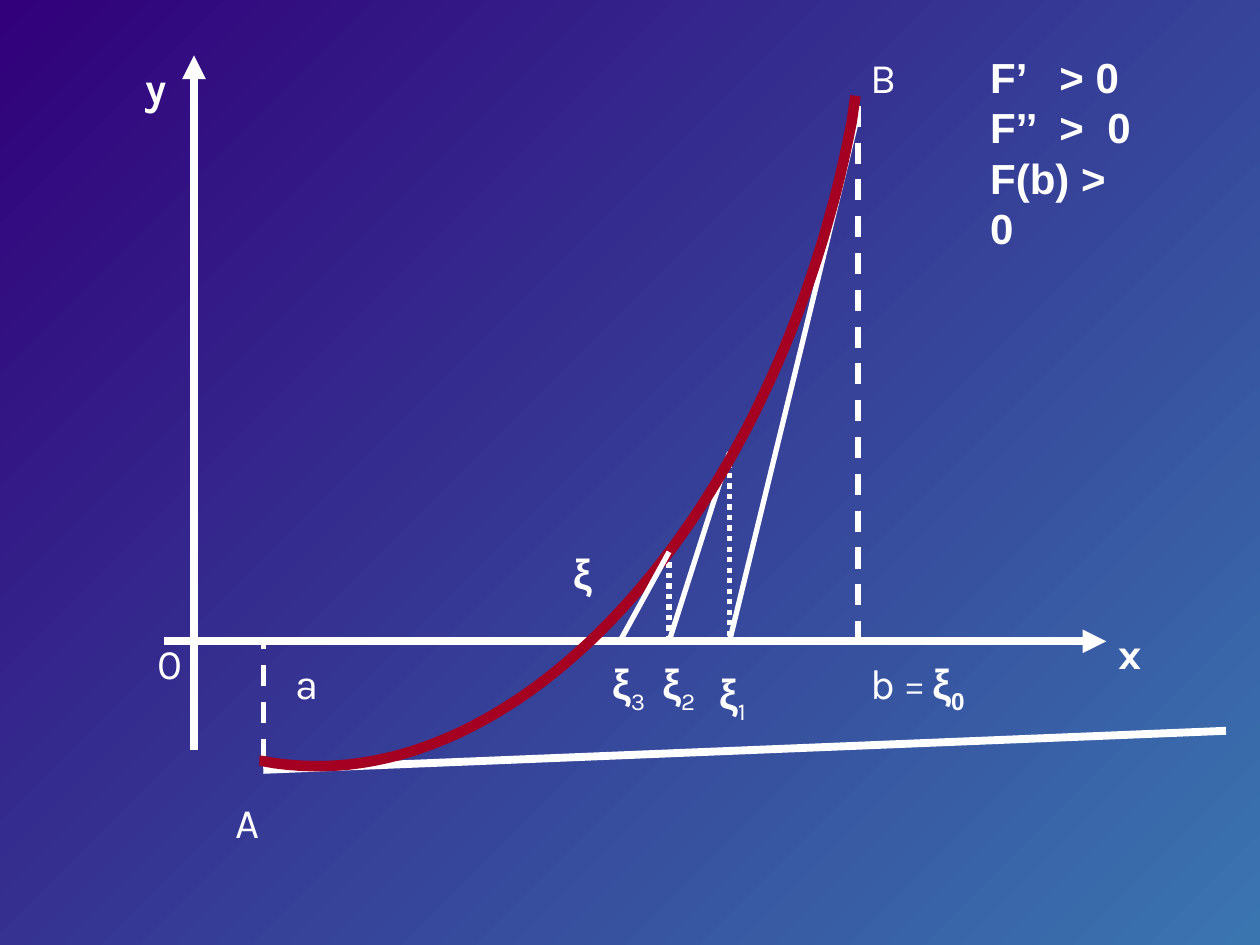
from typing import NamedTuple, Optional

from lxml.etree import SubElement
from pptx import Presentation
from pptx.dml.color import RGBColor
from pptx.enum.dml import MSO_LINE
from pptx.enum.shapes import MSO_CONNECTOR
from pptx.enum.text import MSO_AUTO_SIZE
from pptx.oxml.ns import qn
from pptx.util import Inches, Pt

WHITE = RGBColor(0xFF, 0xFF, 0xFF)
RED = RGBColor(0xA5, 0x00, 0x21)
VIOLET = RGBColor(0x31, 0x00, 0x7A)
BLUE = RGBColor(0x3A, 0x75, 0xB0)

AXIS_Y = 5.09
A_X, B_X = 2.09, 6.81
XI_1, XI_2, XI_3 = 5.79, 5.31, 4.92
LABEL_TOP = 5.17


class Line(NamedTuple):
    start: tuple[float, float]
    end: tuple[float, float]
    width: float = 3
    dash: Optional[MSO_LINE] = None
    arrow: bool = False


class Run(NamedTuple):
    text: str
    font: str = "Karla"
    size: float = 24
    bold: bool = False
    subscript: bool = False


class Label(NamedTuple):
    left: float
    top: float
    width: float
    height: float
    paragraphs: list[list[Run]]
    wrap: bool = False
    tab_stops: tuple[float, ...] = ()


XI = Run("ξ", "Arial", bold=True)

LINES_BEHIND_CURVE = [
    Line((9.73, 5.8), (A_X, 6.11), 4.5),
    Line((XI_1, 3.59), (XI_2, AXIS_Y)),
    Line((B_X, 0.91), (XI_1, AXIS_Y)),
    Line((A_X, 6.03), (A_X, AXIS_Y), dash=MSO_LINE.DASH),
    Line((XI_2, 4.38), (XI_2, AXIS_Y), dash=MSO_LINE.ROUND_DOT),
    Line((XI_1, 3.67), (XI_1, AXIS_Y), dash=MSO_LINE.ROUND_DOT),
    Line((B_X, 0.84), (B_X, AXIS_Y), dash=MSO_LINE.DASH),
    Line((1.54, 5.95), (1.54, 0.44), 4.5, arrow=True),
    Line((1.3, AXIS_Y), (8.78, AXIS_Y), 4.5, arrow=True),
]
LAST_TANGENT = Line((XI_2, 4.38), (XI_3, AXIS_Y))

CURVE_CONTROLS = [(2.08, 6.04), (4.05, 6.42), (6.15, 4.15), (6.76, 0.97)]
CURVE_START, CURVE_END = (2.06, 6.04), (6.79, 0.76)

CONDITIONS = ["F’\t> 0", "F’’\t>\t0", "F(b) > 0"]

LABELS = [
    Label(1.06, 0.44, 0.63, 0.5, [[Run("y", bold=True)]], wrap=True),
    Label(8.78, 4.93, 0.63, 0.5, [[Run("x", bold=True)]], wrap=True),
    Label(1.15, 5.01, 0.39, 0.5, [[Run("0")]]),
    Label(2.25, LABEL_TOP, 0.38, 0.5, [[Run("a")]]),
    Label(B_X, LABEL_TOP, 1.02, 0.56,
          [[Run("b "), Run("= ", "Arial", 18), XI,
            Run("0", "Arial", bold=True, subscript=True)]], wrap=True),
    *(Label(left, top, 0.54, 0.56, [[XI, Run(index, subscript=True)]])
      for index, left, top in [("1", 5.61, 5.25), ("2", 5.16, LABEL_TOP),
                               ("3", 4.76, LABEL_TOP)]),
    Label(1.77, 6.27, 0.47, 0.5, [[Run("A")]], wrap=True),
    Label(B_X, 0.36, 0.47, 0.5, [[Run("B")]], wrap=True),
    Label(7.76, 0.36, 1.39, 1.3,
          [[Run(condition, "Arial", bold=True)] for condition in CONDITIONS],
          tab_stops=(0.55, 0.93)),
    Label(4.45, 4.3, 0.43, 0.5, [[XI]]),
]


def paint_background(slide) -> None:
    fill = slide.background.fill
    fill.gradient()
    fill.gradient_angle = 315
    for stop, color, position in zip(fill.gradient_stops, (VIOLET, BLUE), (0, 1)):
        stop.color.rgb = color
        stop.position = position


def draw_line(slide, line: Line) -> None:
    connector = slide.shapes.add_connector(
        MSO_CONNECTOR.STRAIGHT, *map(Inches, line.start + line.end))
    connector.line.color.rgb = WHITE
    connector.line.width = Pt(line.width)
    if line.dash is not None:
        connector.line.dash_style = line.dash
    if line.arrow:
        SubElement(connector.line._get_or_add_ln(), qn("a:tailEnd"), type="triangle")
    SubElement(connector._element.spPr, qn("a:effectLst"))


def bezier_point(t: float) -> tuple[float, float]:
    weights = ((1 - t) ** 3, 3 * t * (1 - t) ** 2, 3 * t ** 2 * (1 - t), t ** 3)
    x, y = (sum(w * c for w, c in zip(weights, axis)) for axis in zip(*CURVE_CONTROLS))
    return x, y


def draw_curve(slide, steps: int = 60) -> None:
    points = [bezier_point(i / steps) for i in range(steps + 1)] + [CURVE_END]
    builder = slide.shapes.build_freeform(*CURVE_START, scale=Inches(1))
    # Local units are thousandths of an inch, so that no point is rounded away.
    builder = slide.shapes.build_freeform(
        *(round(v * 1000) for v in CURVE_START), scale=Inches(1) / 1000)
    builder.add_line_segments(
        [(round(x * 1000), round(y * 1000)) for x, y in points], close=False)
    curve = builder.convert_to_shape()
    curve.shadow.inherit = False
    curve.fill.background()
    curve.line.color.rgb = RED
    curve.line.width = Pt(6)


def add_run(paragraph, text: str, *, font: str, size: float, bold: bool,
            subscript: bool) -> None:
    run = paragraph.add_run()
    run.text = text
    run.font.name = font
    run.font.size = Pt(size)
    run.font.bold = bold
    run.font.color.rgb = WHITE
    if subscript:
        run.font._element.set("baseline", "-25000")


def draw_label(slide, label: Label) -> None:
    box = slide.shapes.add_textbox(*map(Inches, label[:4]))
    frame = box.text_frame
    frame.word_wrap = label.wrap
    frame.auto_size = MSO_AUTO_SIZE.SHAPE_TO_FIT_TEXT
    for i, runs in enumerate(label.paragraphs):
        paragraph = frame.add_paragraph() if i else frame.paragraphs[0]
        if label.tab_stops:
            tabs = SubElement(paragraph._p.get_or_add_pPr(), qn("a:tabLst"))
            for stop in label.tab_stops:
                SubElement(tabs, qn("a:tab"), pos=str(Inches(stop)), algn="l")
        for run in runs:
            add_run(paragraph, **run._asdict())


def main() -> None:
    presentation = Presentation()
    presentation.slide_width = Inches(10)
    presentation.slide_height = Inches(7.5)
    slide = presentation.slides.add_slide(presentation.slide_layouts[6])
    paint_background(slide)
    for line in LINES_BEHIND_CURVE:
        draw_line(slide, line)
    draw_curve(slide)
    draw_line(slide, LAST_TANGENT)
    for label in LABELS:
        draw_label(slide, label)
    presentation.save("out.pptx")


if __name__ == "__main__":
    main()
